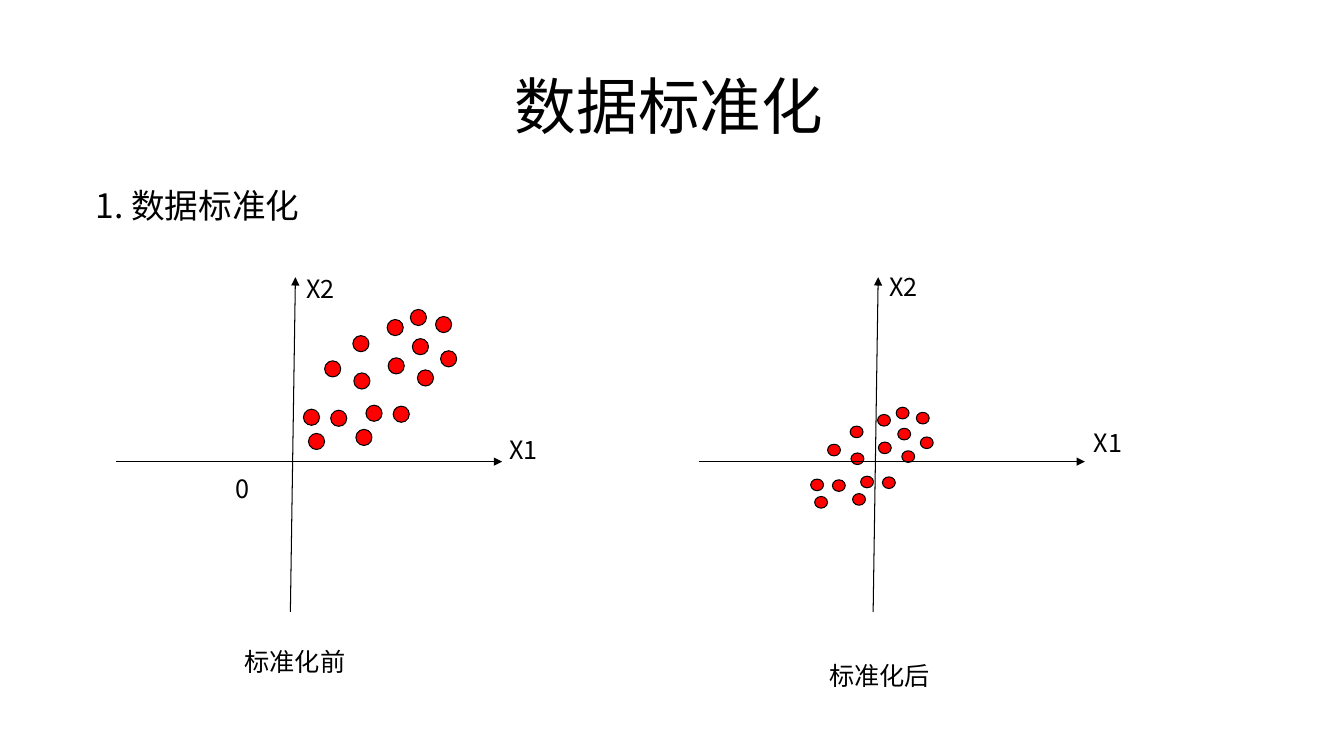
from dataclasses import dataclass

from lxml import etree
from pptx import Presentation
from pptx.dml.color import RGBColor
from pptx.enum.shapes import MSO_CONNECTOR, MSO_SHAPE
from pptx.enum.text import MSO_ANCHOR as ANCHOR, MSO_AUTO_SIZE, PP_ALIGN as ALIGN
from pptx.oxml.ns import qn
from pptx.util import Inches, Pt

BLACK = RGBColor(0, 0, 0)
RED = RGBColor(255, 0, 0)
FONT = "Noto Sans CJK SC"
LINE_WIDTH = Pt(0.75)
DOT_SIZE = 0.16
CLOUD_LEFT, CLOUD_TOP = 3.01, 3.07
DOTS = [
    (3.85, 3.55), (3.51, 3.7), (4.09, 3.36), (3.5, 3.33),
    (3.22, 3.58), (3.84, 3.17), (4.07, 3.07), (4.32, 3.14),
    (3.63, 4.02), (3.28, 4.07), (3.06, 4.3), (3.53, 4.26),
    (4.14, 3.67), (3.9, 4.03), (4.37, 3.48), (3.01, 4.06),
]


@dataclass
class Label:
    text: str
    x: float
    y: float
    w: float = 0.85


@dataclass
class Plot:
    axis_x: float
    cloud_x: float
    cloud_y: float
    scale_x: float
    scale_y: float
    labels: list[Label]
    caption: Label
    axes_on_top: bool = False


PLOTS = [
    Plot(1.15, CLOUD_LEFT, CLOUD_TOP, 1, 1,
         [Label("0", 2.24, 4.65, 0.52), Label("X1", 4.95, 4.26), Label("X2", 2.94, 2.66)],
         Label("标准化前", 2.24, 6.36, 1.37)),
    Plot(6.93, 8.04, 4.04, 0.8, 0.72,
         [Label("X1", 10.75, 4.19), Label("X2", 8.72, 2.64)],
         Label("标准化后", 8.04, 6.5, 1.37), axes_on_top=True),
]


def place(sp, x: float, y: float, w: float, h: float) -> None:
    sp.left, sp.top, sp.width, sp.height = (Inches(v) for v in (x, y, w, h))


def write(sp, text: str, *, size: float = 18, align=ALIGN.LEFT, anchor=ANCHOR.TOP) -> None:
    tf = sp.text_frame
    tf.word_wrap = True
    tf.auto_size = MSO_AUTO_SIZE.NONE
    tf.vertical_anchor = anchor
    p = tf.paragraphs[0]
    pPr = p._p.get_or_add_pPr()
    pPr.set("marL", "0")
    pPr.set("indent", "0")
    etree.SubElement(pPr, qn("a:buNone"))
    p.alignment = align
    p.space_before = Pt(0)
    r = p.add_run()
    r.text = text
    r.font.size = Pt(size)
    r.font.name = FONT
    r.font.color.rgb = BLACK
    etree.SubElement(r._r.get_or_add_rPr(), qn("a:ea")).set("typeface", FONT)


def add_label(shapes, label: Label, h: float, align=ALIGN.LEFT) -> None:
    box = shapes.add_textbox(*(Inches(v) for v in (label.x, label.y, label.w, h)))
    write(box, label.text, align=align)


def add_axis(shapes, x1: float, y1: float, x2: float, y2: float) -> None:
    axis = shapes.add_connector(
        MSO_CONNECTOR.STRAIGHT, *(Inches(v) for v in (x1, y1, x2, y2)))
    axis.line.color.rgb = BLACK
    axis.line.width = LINE_WIDTH
    etree.SubElement(axis.line._get_or_add_ln(), qn("a:tailEnd")).set("type", "triangle")
    etree.SubElement(axis._element.spPr, qn("a:effectLst"))


def add_axes(shapes, plot: Plot) -> None:
    x = plot.axis_x
    add_axis(shapes, x, 4.58, x + 3.83, 4.58)
    add_axis(shapes, x + 1.73, 6.07, x + 1.78, 2.75)


def add_dots(shapes, plot: Plot) -> None:
    """Draw the cloud of points, moved and scaled for this plot."""
    for x, y in DOTS:
        dot = shapes.add_shape(
            MSO_SHAPE.OVAL,
            Inches(plot.cloud_x + (x - CLOUD_LEFT) * plot.scale_x),
            Inches(plot.cloud_y + (y - CLOUD_TOP) * plot.scale_y),
            Inches(DOT_SIZE * plot.scale_x), Inches(DOT_SIZE * plot.scale_y))
        dot.shadow.inherit = False
        dot.fill.solid()
        dot.fill.fore_color.rgb = RED
        dot.line.color.rgb = BLACK
        dot.line.width = LINE_WIDTH


def add_plot(s, plot: Plot) -> None:
    shapes = s.shapes.add_group_shape().shapes
    layers = [add_dots, add_axes] if plot.axes_on_top else [add_axes, add_dots]
    for draw in layers:
        draw(shapes, plot)
    for label in plot.labels:
        add_label(shapes, label, 0.6)
    add_label(s.shapes, plot.caption, 0.4, ALIGN.CENTER)


def main() -> None:
    prs = Presentation()
    prs.slide_width, prs.slide_height = Inches(13.33), Inches(7.5)
    s = prs.slides.add_slide(prs.slide_layouts[1])
    title, body = s.placeholders
    place(title, 1.49, 0.62, 10.29, 0.84)
    write(title, "数据标准化", size=44, align=ALIGN.CENTER, anchor=ANCHOR.MIDDLE)
    place(body, 0.85, 1.78, 3.69, 0.5)
    write(body, "1. 数据标准化", size=24, anchor=ANCHOR.MIDDLE)
    for plot in PLOTS:
        add_plot(s, plot)
    prs.save("out.pptx")


if __name__ == "__main__":
    main()
